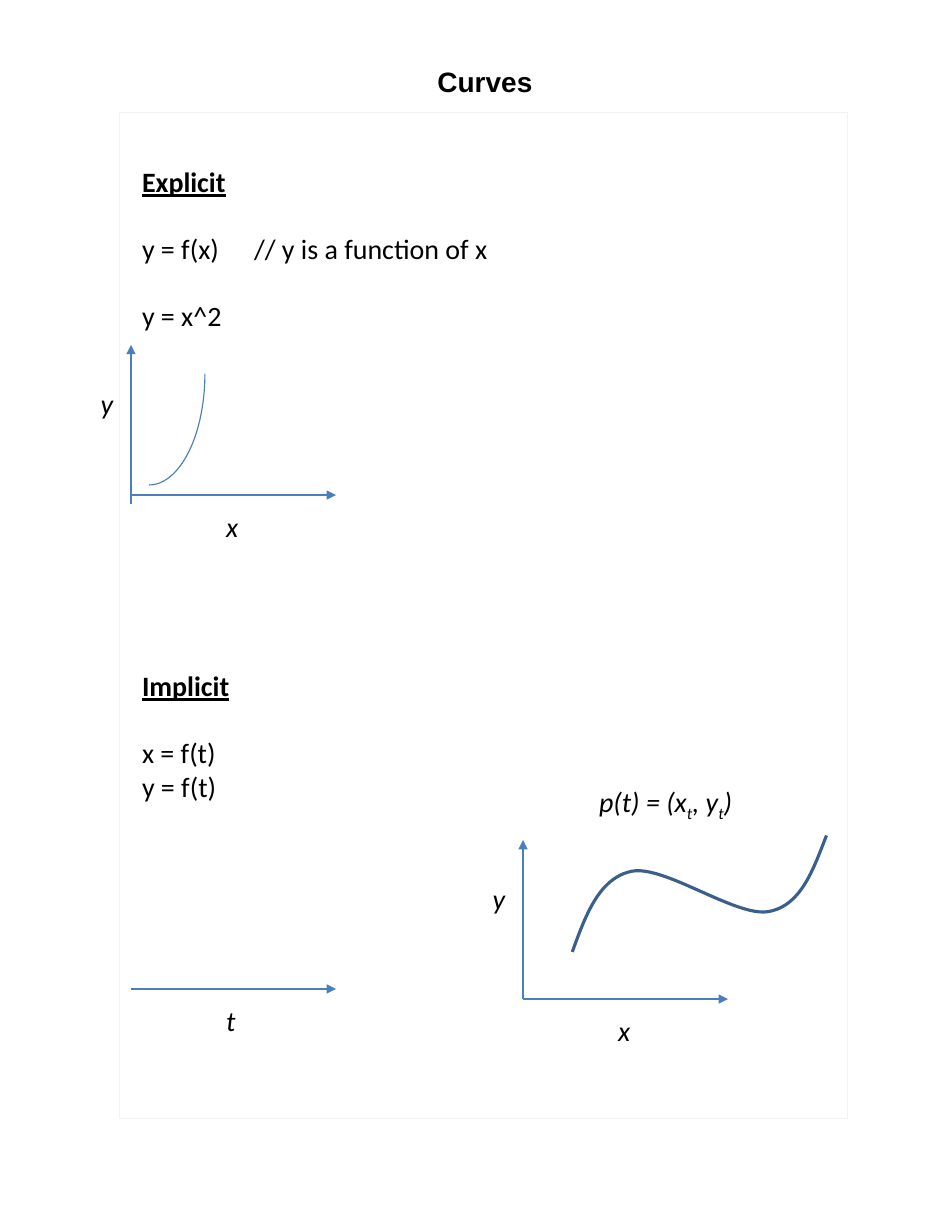
from lxml.etree import SubElement
from pptx import Presentation
from pptx.dml.color import RGBColor
from pptx.enum.shapes import MSO_CONNECTOR, MSO_SHAPE
from pptx.enum.text import MSO_ANCHOR, MSO_AUTO_SIZE, PP_ALIGN
from pptx.oxml.ns import qn
from pptx.util import Inches, Pt

BLACK, BLUE, NAVY, PALE = "000000", "4B7EBC", "3A5F8C", "F2F2F2"
LINE = 21.6
NOTES = [
    ("Explicit", 0, True),
    ("y = f(x)\t// y is a function of x", 1, False),
    ("y = x^2", 1, False),
    ("Implicit", 10, True),
    ("x = f(t)", 1, False),
    ("y = f(t)", 0, False),
]


def color(code):
    """Turn a hex string into a colour."""
    return RGBColor.from_string(code)


def stroke(shape, code, width):
    """Set the line of a shape or connector."""
    shape.line.color.rgb = color(code)
    shape.line.width = Pt(width)


def outline(shape, code, width):
    """Leave a shape with its line only."""
    shape.shadow.inherit = False
    shape.fill.background()
    stroke(shape, code, width)


def style(font, name="Calibri", bold=False, italic=False, under=False):
    """Format a font in the 18 point black of the slide."""
    font.name, font.size = name, Pt(18)
    font.bold, font.italic, font.underline = bold, italic, under
    font.color.rgb = color(BLACK)


def arrow(slide, start, end):
    """Draw a thin arrow between two points."""
    line = slide.shapes.add_connector(
        MSO_CONNECTOR.STRAIGHT, *map(Inches, start + end))
    stroke(line, BLUE, 0.75)
    SubElement(line.line._get_or_add_ln(), qn("a:tailEnd"), type="triangle")
    SubElement(line._element.spPr, qn("a:effectLst"))


def label(slide, box, parts):
    """Add an italic label whose every second part is a subscript."""
    frame = slide.shapes.add_textbox(*map(Inches, box)).text_frame
    frame.word_wrap = False
    frame.auto_size = MSO_AUTO_SIZE.SHAPE_TO_FIT_TEXT
    for i, part in enumerate(parts):
        run = frame.paragraphs[0].add_run()
        run.text = part
        style(run.font, italic=True)
        if i % 2:
            run.font._element.set("baseline", "-25000")


def across(slide, x, y, name):
    """Draw a horizontal axis with its label below."""
    arrow(slide, (x, y), (x + 1.83, y))
    label(slide, (x + 0.75, y + 0.08, 0.33, 0.4), [name])


def upward(slide, x, y, name):
    """Draw a vertical axis with its label at the left."""
    arrow(slide, (x, y), (x, y - 1.42))
    label(slide, (x - 0.37, y - 1.1, 0.33, 0.4), [name])


def heading(slide, box):
    """Place the title."""
    title = slide.shapes.title
    title.left, title.top, title.width, title.height = map(Inches, box)
    frame = title.text_frame
    frame.margin_left = frame.margin_right = 0
    frame.margin_top = frame.margin_bottom = 0
    frame.vertical_anchor = MSO_ANCHOR.TOP
    frame.text = "Curves"
    frame.paragraphs[0].alignment = PP_ALIGN.CENTER
    style(frame.paragraphs[0].runs[0].font, "Arial", bold=True)


def notes(slide, box):
    """Write the headings and formulas."""
    frame = slide.shapes.add_textbox(*map(Inches, box)).text_frame
    frame.word_wrap = True
    for i, (text, gap, head) in enumerate(NOTES):
        para = frame.paragraphs[0] if i == 0 else frame.add_paragraph()
        para.text = text
        if gap:
            para.space_before = Pt(gap * LINE)
        style(para.runs[0].font, bold=head, under=head)


def square(slide, x, y):
    """Plot the explicit curve from its origin."""
    across(slide, x, y, "x")
    upward(slide, x, y + 0.08, "y")
    box = (x - 0.34, y - 2.08, 1, 1.99)
    arc = slide.shapes.add_shape(MSO_SHAPE.ARC, *map(Inches, box))
    arc.adjustments[0], arc.adjustments[1] = 0, 54
    outline(arc, BLUE, 0.75)


def bezier(a, b, c, d, steps=24):
    """List the points of a cubic curve after its start."""
    return [
        tuple((1 - t) ** 3 * p + 3 * (1 - t) ** 2 * t * q
              + 3 * (1 - t) * t ** 2 * r + t ** 3 * s
              for p, q, r, s in zip(a, b, c, d))
        for t in (i / steps for i in range(1, steps + 1))
    ]


def wave(slide, x, y):
    """Plot the parametric curve from its origin."""
    across(slide, x, y, "x")
    upward(slide, x, y, "y")
    knots = [(0.44, -0.42), (0.56, -0.75), (0.68, -1.08), (0.97, -1.14),
             (1.26, -1.2), (1.9, -0.73), (2.19, -0.78),
             (2.48, -0.83), (2.59, -1.15), (2.71, -1.46)]
    knots = [(Inches(x + dx), Inches(y + dy)) for dx, dy in knots]
    dots = [dot for i in (0, 3, 6) for dot in bezier(*knots[i:i + 4])]
    pen = slide.shapes.build_freeform(*knots[0])
    pen.add_line_segments(dots, close=False)
    outline(pen.convert_to_shape(), NAVY, 2)
    label(slide, (x + 0.58, y - 1.96, 1.55, 0.4),
          ["p(t) = (x", "t", ", y", "t", ")"])


def main():
    """Build the slide and save it."""
    deck = Presentation()
    deck.slide_width, deck.slide_height = Inches(8.5), Inches(11)
    slide = deck.slides.add_slide(deck.slide_layouts[5])
    border = slide.shapes.add_shape(
        MSO_SHAPE.RECTANGLE, *map(Inches, (1.07, 1, 6.5, 8.99)))
    outline(border, PALE, 0.5)
    heading(slide, (1.08, 0.58, 6.5, 0.3))
    notes(slide, (1.17, 1.42, 4.17, 6.16))
    square(slide, 1.17, 4.42)
    across(slide, 1.17, 8.83, "t")
    wave(slide, 4.67, 8.92)
    deck.save("out.pptx")


if __name__ == "__main__":
    main()
